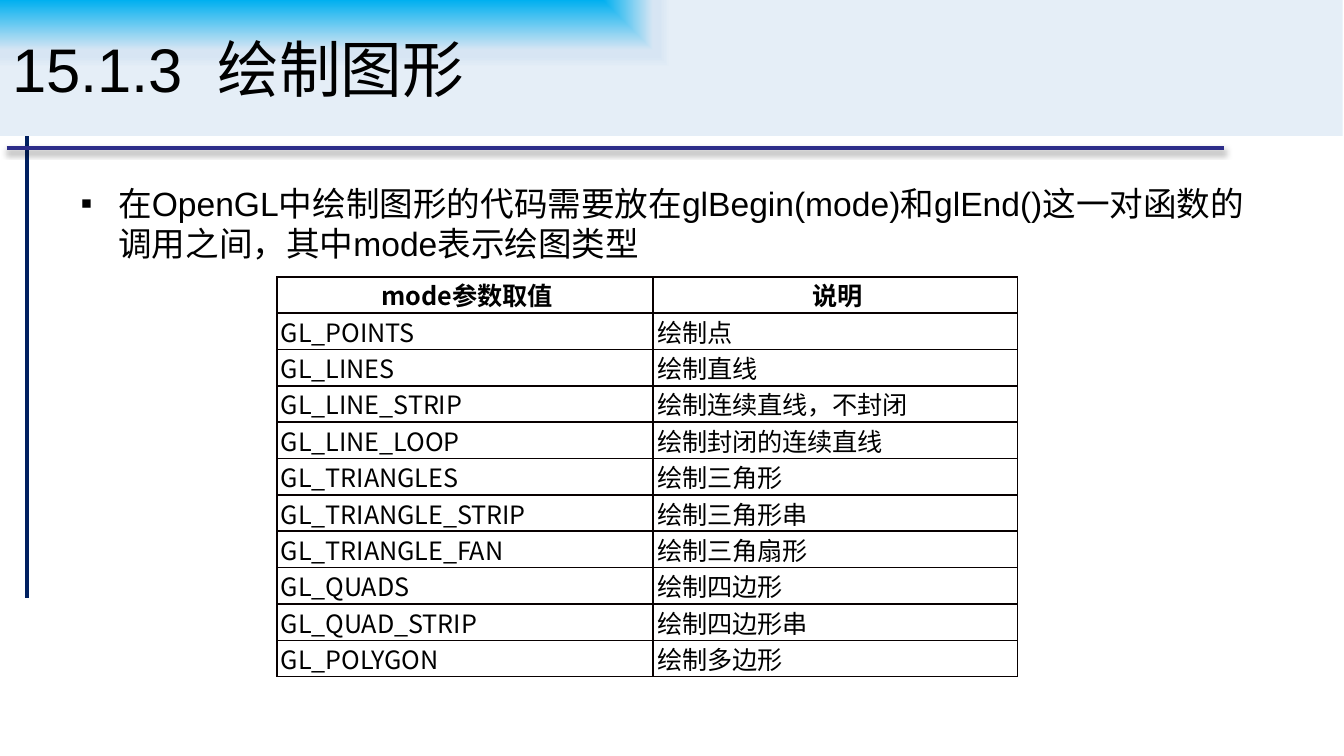
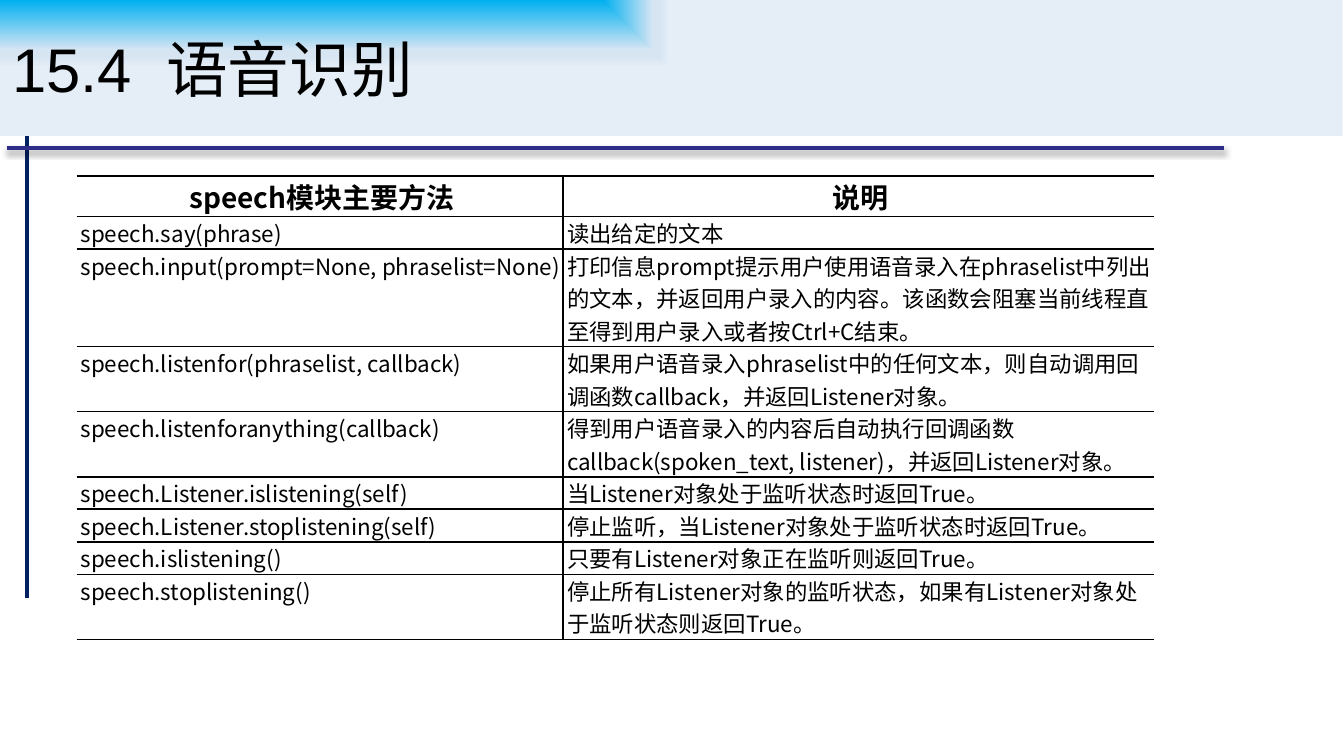
from lxml.etree import SubElement as add_element
from pptx import Presentation
from pptx.dml.color import RGBColor as Color
from pptx.enum.shapes import MSO_CONNECTOR as Connector
from pptx.enum.text import MSO_ANCHOR as Anchor, MSO_AUTO_SIZE as AutoSize, PP_ALIGN as Align
from pptx.oxml import parse_xml
from pptx.oxml.ns import nsdecls, qn
from pptx.util import Inches, Pt

COLORS = {
    "text": "000000", "side_rule": "002060", "title_rule": "2D2D89", "shadow": "000000",
    "band_bright": "00B0F0", "band_mid": "D7E5F3", "band_pale": "E5EEF7",
    "mode_border": "080000", "speech_border": "000000",
}
BAND_STOPS = [(0, "band_bright"), (74, "band_mid"), (83, "band_mid"), (100, "band_pale")]
TITLE_FONT, TABLE_FONT = "Arial", "Noto Sans CJK SC"
COLUMNS, ROWS = 100, 56.25  # grid of square cells covering the slide
TITLE_AND_BODY, TITLE_ONLY = 1, 5  # layout numbers

MODES = [
    ("mode参数取值", "说明"),
    ("GL_POINTS", "绘制点"),
    ("GL_LINES", "绘制直线"),
    ("GL_LINE_STRIP", "绘制连续直线，不封闭"),
    ("GL_LINE_LOOP", "绘制封闭的连续直线"),
    ("GL_TRIANGLES", "绘制三角形"),
    ("GL_TRIANGLE_STRIP", "绘制三角形串"),
    ("GL_TRIANGLE_FAN", "绘制三角扇形"),
    ("GL_QUADS", "绘制四边形"),
    ("GL_QUAD_STRIP", "绘制四边形串"),
    ("GL_POLYGON", "绘制多边形"),
]
METHODS = [
    ("speech模块主要方法", "说明"),
    ("speech.say(phrase)", "读出给定的文本"),
    ("speech.input(prompt=None, phraselist=None)",
     "打印信息prompt提示用户使用语音录入在phraselist中列出的文本，并返回用户录入的内容。"
     "该函数会阻塞当前线程直至得到用户录入或者按Ctrl+C结束。"),
    ("speech.listenfor(phraselist, callback)",
     "如果用户语音录入phraselist中的任何文本，则自动调用回调函数callback，并返回Listener对象。"),
    ("speech.listenforanything(callback)",
     "得到用户语音录入的内容后自动执行回调函数callback(spoken_text, listener)，并返回Listener对象。"),
    ("speech.Listener.islistening(self)", "当Listener对象处于监听状态时返回True。"),
    ("speech.Listener.stoplistening(self)", "停止监听，当Listener对象处于监听状态时返回True。"),
    ("speech.islistening()", "只要有Listener对象正在监听则返回True。"),
    ("speech.stoplistening()",
     "停止所有Listener对象的监听状态，如果有Listener对象处于监听状态则返回True。"),
]
METHOD_LINES = [1, 3, 2, 2, 1, 1, 1, 2]  # text lines in each row below the header


def write_text(frame, text, size, font=TITLE_FONT, bold=False, align=Align.LEFT):
    """Put one formatted paragraph into a text frame and return it."""
    paragraph = frame.paragraphs[0]
    paragraph.alignment = align
    run = paragraph.add_run()
    run.text = text
    run.font.size, run.font.bold, run.font.name = Pt(size), bold, font
    run.font.color.rgb = Color.from_string(COLORS["text"])
    add_element(run.font._element, qn("a:ea")).set("typeface", font)
    return paragraph


class Deck:
    def __init__(self):
        self.presentation = Presentation()
        self.presentation.slide_width = Inches(10)
        self.presentation.slide_height = Inches(5.625)
        self.slide = None

    def across(self, columns):
        return round(self.presentation.slide_width * columns / COLUMNS)

    def down(self, rows):
        return round(self.presentation.slide_height * rows / ROWS)

    def place(self, shape, left, top, width, height):
        shape.left, shape.top = self.across(left), self.down(top)
        shape.width, shape.height = self.across(width), self.down(height)

    def add_slide(self, layout, title):
        layouts = self.presentation.slide_layouts
        self.slide = self.presentation.slides.add_slide(layouts[layout])
        shape = self.slide.shapes.title
        self.place(shape, -0.1, 0, 100, 10.1)
        stops = "".join(
            f'<a:gs pos="{share * 1000}"><a:srgbClr val="{COLORS[name]}"/></a:gs>'
            for share, name in BAND_STOPS)
        shape.element.spPr.append(parse_xml(
            f'<a:gradFill {nsdecls("a")} rotWithShape="1"><a:gsLst>{stops}</a:gsLst>'
            '<a:path path="rect"><a:fillToRect r="100000" b="100000"/></a:path></a:gradFill>'))
        frame = shape.text_frame
        frame.auto_size, frame.vertical_anchor = AutoSize.NONE, Anchor.MIDDLE
        write_text(frame, title, 33)

    def master_rule(self, start, end, color, shadow=""):
        """Draw a rule and move it to the master, where all slides share it."""
        rule = self.slide.shapes.add_connector(
            Connector.STRAIGHT, self.across(start[0]), self.down(start[1]),
            self.across(end[0]), self.down(end[1]))
        rule.line.color.rgb = Color.from_string(COLORS[color])
        rule.line.width = Pt(2.25)
        rule.element.spPr.append(parse_xml(
            f'<a:effectLst {nsdecls("a")}>{shadow}</a:effectLst>'))
        self.presentation.slide_master.shapes.element.append(rule.element)

    def bullet(self, text, left, top, width, height):
        body = self.slide.placeholders[1]
        self.place(body, left, top, width, height)
        body.text_frame.auto_size = AutoSize.NONE
        paragraph = write_text(body.text_frame, text, 18)
        paragraph.space_before = Pt(18 * 0.15)
        properties = paragraph._p.get_or_add_pPr()
        properties.set("marL", str(Inches(0.28)))
        properties.set("indent", str(-Inches(0.28)))
        add_element(properties, qn("a:buFont")).set("typeface", TITLE_FONT)
        add_element(properties, qn("a:buChar")).set("char", "▪")

    def border_cell(self, cell, color, open_sides):
        properties = cell._tc.get_or_add_tcPr()
        for position, side in enumerate("LRTB"):
            paint = ("<a:noFill/>" if side in open_sides else
                     f'<a:solidFill><a:srgbClr val="{COLORS[color]}"/></a:solidFill>')
            properties.insert(position, parse_xml(
                f'<a:ln{side} {nsdecls("a")} w="{Pt(1)}">{paint}</a:ln{side}>'))

    def table(self, records, left, top, widths, heights, sizes, border, open_ends=False):
        header_size, body_size = sizes
        table = self.slide.shapes.add_table(
            len(records), len(widths), self.across(left), self.down(top),
            self.across(sum(widths)), self.down(sum(heights))).table
        table.first_row = table.horz_banding = False
        for column, width in zip(table.columns, widths):
            column.width = self.across(width)
        for row_number, (row, height, record) in enumerate(zip(table.rows, heights, records)):
            row.height = self.down(height)
            header = row_number == 0
            for column_number, (cell, text) in enumerate(zip(row.cells, record)):
                cell.fill.background()
                cell.margin_left = Inches(0.03)
                cell.margin_top = cell.margin_right = cell.margin_bottom = 0
                write_text(cell.text_frame, text, header_size if header else body_size,
                           font=TABLE_FONT, bold=header,
                           align=Align.CENTER if header else Align.LEFT)
                self.border_cell(cell, border, "LR"[column_number] if open_ends else "")


def main():
    deck = Deck()

    # Drawing modes
    deck.add_slide(TITLE_AND_BODY, "15.1.3  绘制图形")
    deck.bullet("在OpenGL中绘制图形的代码需要放在glBegin(mode)和glEnd()这一对函数的调用之间，"
                "其中mode表示绘图类型", 5, 13.1, 90, 37.1)
    deck.table(MODES, 20.6, 20.6, [28, 27.1], [2.37] * len(MODES), (13.5, 13.5), "mode_border")

    # Rules shared by all slides
    deck.master_rule((2, 8.1), (2, 44.5), "side_rule")
    deck.master_rule(
        (0.5, 11), (91.1, 11), "title_rule",
        f'<a:outerShdw blurRad="{Pt(3.1)}" dist="{Pt(1.8)}" dir="5400000" rotWithShape="0">'
        f'<a:srgbClr val="{COLORS["shadow"]}"><a:alpha val="35000"/></a:srgbClr></a:outerShdw>')

    # Speech methods
    deck.add_slide(TITLE_ONLY, "15.4  语音识别")
    deck.table(METHODS, 5.7, 13.1, [36.2, 44], [2.5] + [2.1 * lines for lines in METHOD_LINES],
               (15, 12), "speech_border", open_ends=True)

    deck.presentation.save("out.pptx")


if __name__ == "__main__":
    main()
